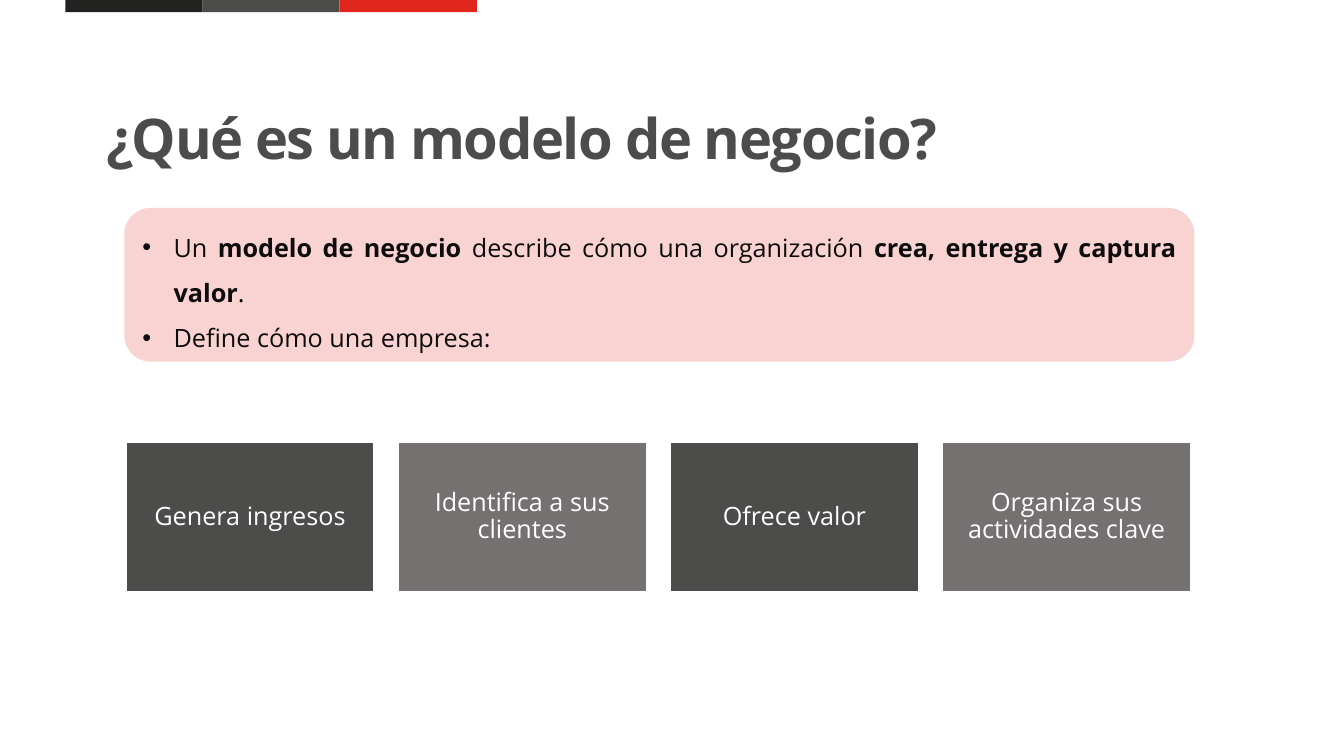
from lxml.etree import SubElement
from pptx import Presentation
from pptx.dml.color import RGBColor
from pptx.enum.shapes import MSO_SHAPE
from pptx.enum.text import MSO_ANCHOR, PP_ALIGN
from pptx.oxml.ns import qn
from pptx.util import Pt

PX = 9144
FONT = "Open Sans"
DARK, GREY, PINK = "4C4C4B", "767171", "F9D3D2"


def color(value):
    """Turn a hex string into a colour."""
    return RGBColor.from_string(value)


def add_box(s, box, fill, line=None, kind=MSO_SHAPE.RECTANGLE):
    """Add a filled shape with an optional outline and wrapped text."""
    sp = s.shapes.add_shape(kind, *(v * PX for v in box))
    sp.shadow.inherit = False
    sp.fill.solid()
    sp.fill.fore_color.rgb = color(fill)
    if line:
        sp.line.color.rgb = color(line)
        sp.line.width = Pt(1)
    else:
        sp.line.fill.background()
    sp.text_frame.word_wrap = True
    sp.text_frame.vertical_anchor = MSO_ANCHOR.MIDDLE
    return sp


def add_run(p, text, size, fill, bold=False):
    """Append a formatted run to a paragraph."""
    r = p.add_run()
    r.text = text
    r.font.name = FONT
    r.font.size = Pt(size)
    r.font.bold = bold
    r.font.color.rgb = color(fill)
    return r


def add_bullet(p, indent):
    """Give a paragraph a hanging round bullet."""
    pPr = p._p.get_or_add_pPr()
    pPr.set("marL", str(indent * PX))
    pPr.set("indent", str(-indent * PX))
    SubElement(pPr, qn("a:buFont")).set("typeface", "Arial")
    SubElement(pPr, qn("a:buChar")).set("char", "•")


def add_top_bar(s, box, fills):
    """Draw the bar at the top edge as equal coloured segments."""
    x, y, w, h = box
    step = w // len(fills)
    for i, fill in enumerate(fills):
        add_box(s, (x + i * step, y, step, h), fill)


def add_title(s, box, text):
    """Write the slide title."""
    sp = s.shapes.add_textbox(*(v * PX for v in box))
    tf = sp.text_frame
    tf.word_wrap = True
    p = tf.paragraphs[0]
    p.line_spacing = Pt(42)
    r = add_run(p, text, 40, DARK, True)
    r.font._element.set("spc", "-100")


def add_definition(s, box, paragraphs):
    """Draw the rounded panel with its bulleted definition."""
    sp = add_box(s, box, PINK, PINK, MSO_SHAPE.ROUNDED_RECTANGLE)
    tf = sp.text_frame
    for i, runs in enumerate(paragraphs):
        p = tf.add_paragraph() if i else tf.paragraphs[0]
        p.alignment = PP_ALIGN.JUSTIFY
        p.line_spacing = 1.5
        add_bullet(p, 31)
        for text, bold in runs:
            add_run(p, text, 18, "0D0D0D", bold)


def add_tiles(s, box, labels, gap):
    """Draw a row of equal tiles in alternating greys."""
    x, y, w, h = box
    width = (w - gap * (len(labels) - 1)) // len(labels)
    for i, label in enumerate(labels):
        tile = (x + i * (width + gap), y, width, h)
        sp = add_box(s, tile, (DARK, GREY)[i % 2], "FFFFFF")
        tf = sp.text_frame
        tf.margin_left = tf.margin_right = 7 * PX
        tf.margin_top = tf.margin_bottom = 7 * PX
        p = tf.paragraphs[0]
        p.alignment = PP_ALIGN.CENTER
        p.line_spacing = 0.9
        add_run(p, label, 18, "FFFFFF")


def main():
    """Build and save the slide."""
    prs = Presentation()
    prs.slide_width, prs.slide_height = 1333 * PX, 750 * PX
    s = prs.slides.add_slide(prs.slide_layouts[6])
    add_top_bar(s, (65, 0, 408, 12), ["222220", DARK, "E1261E"])
    add_title(s, (96, 106, 947, 69), "¿Qué es un modelo de negocio?")
    add_tiles(s, (125, 439, 1056, 148), [
        "Genera ingresos",
        "Identifica a sus clientes",
        "Ofrece valor",
        "Organiza sus actividades clave",
    ], 24)
    add_definition(s, (124, 207, 1060, 151), [
        [("Un ", False), ("modelo de negocio ", True),
         ("describe cómo una organización ", False),
         ("crea, entrega y captura valor", True), (".", False)],
        [("Define cómo una empresa:", False)],
    ])
    prs.save("out.pptx")


if __name__ == "__main__":
    main()
